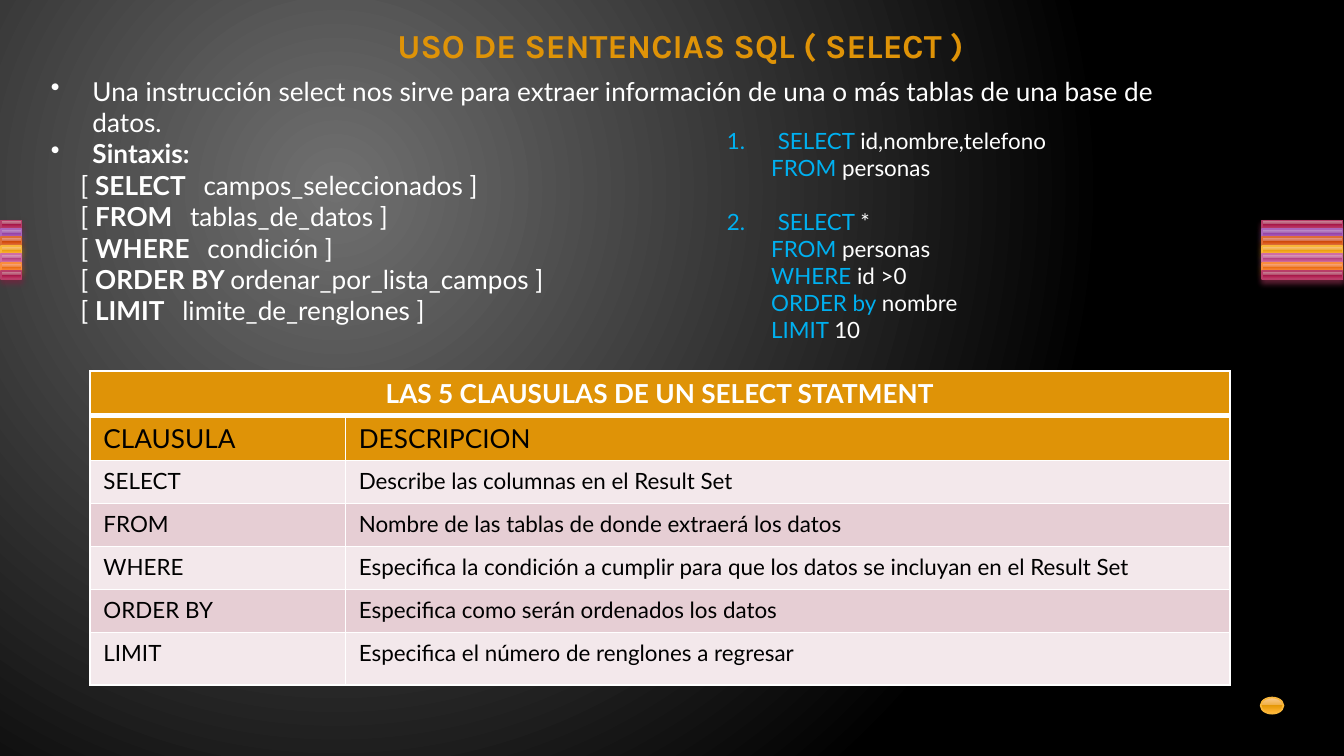
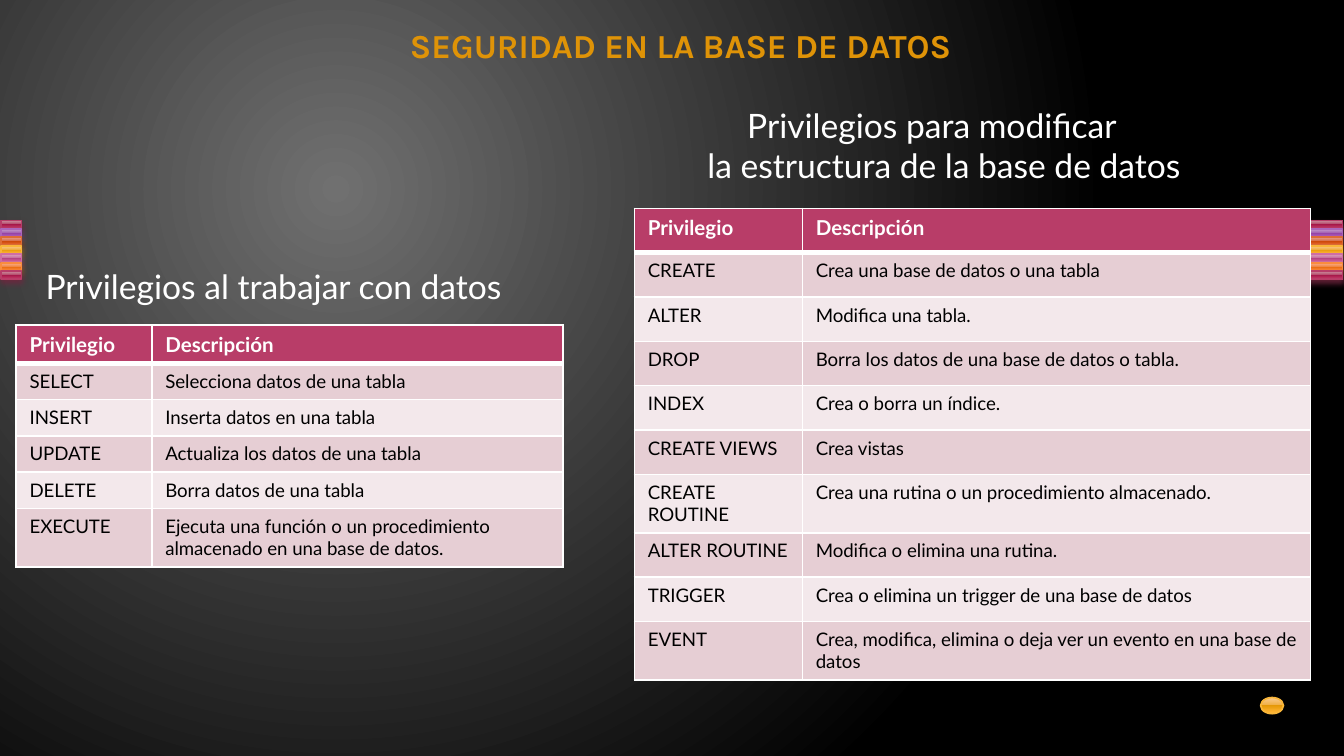
"""Builds two slides on SQL SELECT statements and database privileges."""
import lxml.etree
import pptx
import pptx.dml.color
import pptx.enum.shapes
import pptx.enum.text
import pptx.oxml
import pptx.oxml.ns
import pptx.util

Inches = pptx.util.Inches
Pt = pptx.util.Pt
qn = pptx.oxml.ns.qn
NAMESPACE = 'xmlns:a="http://schemas.openxmlformats.org/drawingml/2006/main"'
COLORS = {
    "gold": "DF9307", "white": "FFFFFF", "black": "000000", "blue": "00B0F0",
    "crimson": "B83D68", "rose": "E6CED4", "pale": "F3E8EB", "gray": "707070",
}
GLOSS = {
    "crimson": ("CE94A2 B34869 A61749 C13764 CA5D7C", "B83D68", "722640"),
    "purple": ("C6A2D0 A666B4 8F3EA1 AD5DBF BA76CA", "AC66BB", "6A3F73"),
    "rust": ("E7A493 D66B42 CC4809 E9642C F07B55", "DE6C36", "894321"),
    "amber": ("FBCC93 EFAE43 E59807 FFB432 FFBE5F", "F9B639", "9A7023"),
    "pink": ("DDA4C1 C66B9D B34181 D361A0 DC79AE", "CF6DA4", "804365"),
    "orange": ("FBB494 F08745 E5670B FF8736 FF9961", "FA8D3D", "9A5726"),
}
STOPS = (0, 49, 49, 92, 100)
STRIPES = ("crimson", "purple", "rust", "amber", "pink", "orange", "crimson")


def add_spans(para, spans, size, font="Lato"):
    for text, color, bold in spans:
        span = para.add_run()
        span.text = text
        span.font.name = font
        span.font.size = Pt(size)
        span.font.bold = bold
        span.font.color.rgb = pptx.dml.color.RGBColor.from_string(COLORS[color])


def add_text(page, place, lines, size):
    box = page.shapes.add_textbox(*map(Inches, place))
    frame = box.text_frame
    frame.word_wrap = True
    for index, (indent, bullet, spans) in enumerate(lines):
        para = frame.paragraphs[0] if index == 0 else frame.add_paragraph()
        add_spans(para, spans, size)
        props = para._p.get_or_add_pPr()
        props.set("marL", str(Inches(indent)))
        if bullet:
            props.set("indent", str(-Inches(indent)))
            props.append(pptx.oxml.parse_xml(bullet))
    return frame


deck = pptx.Presentation()
deck.slide_width = Inches(10)
deck.slide_height = Inches(5.625)
layout = deck.slide_layouts[5]
for holder in list(layout.placeholders):
    if holder.placeholder_format.type != pptx.enum.shapes.PP_PLACEHOLDER.TITLE:
        layout.shapes.element.remove(holder.element)

backdrop = layout.background.fill
backdrop.gradient()
for stop, color in zip(backdrop.gradient_stops, ("gray", "black")):
    stop.color.rgb = pptx.dml.color.RGBColor.from_string(COLORS[color])
gradient = layout.element.find(".//" + qn("a:gradFill"))
gradient.remove(gradient.find(qn("a:lin")))
gradient.append(pptx.oxml.parse_xml(
    f'<a:path {NAMESPACE} path="circle">'
    '<a:fillToRect l="50000" t="50000" r="100000" b="100000"/></a:path>'))

pages = []
for heading in ("USO DE SENTENCIAS SQL ( SELECT )", "SEGURIDAD EN LA BASE DE DATOS"):
    page = deck.slides.add_slide(layout)
    title = page.shapes.title
    title.left, title.top, title.width, title.height = map(Inches, (0.98, 0.14, 8.17, 0.39))
    title.text_frame.auto_size = pptx.enum.text.MSO_AUTO_SIZE.NONE
    title.text_frame.vertical_anchor = pptx.enum.text.MSO_ANCHOR.MIDDLE
    para = title.text_frame.paragraphs[0]
    para.alignment = pptx.enum.text.PP_ALIGN.CENTER
    add_spans(para, [(heading, "gold", True)], 18, "Karla")
    pages.append(page)
select_page, security_page = pages

RECTANGLE = pptx.enum.shapes.MSO_SHAPE.RECTANGLE
ornaments = [
    (RECTANGLE, gloss, left, 1.64 + 0.063 * row, width, 0.06)
    for left, width in ((0.01, 0.15), (9.39, 0.6))
    for row, gloss in enumerate(STRIPES)
]
ornaments.append((pptx.enum.shapes.MSO_SHAPE.OVAL, "amber", 9.38, 5.19, 0.17, 0.12))
for kind, gloss, *place in ornaments:
    shades, edge, shade = GLOSS[gloss]
    box = select_page.shapes.add_shape(kind, *map(Inches, place))
    box.shadow.inherit = False
    box.fill.gradient()
    box.fill.gradient_angle = 270
    box.line.color.rgb = pptx.dml.color.RGBColor.from_string(edge)
    box.line.width = Pt(0.9)
    stops = box.element.find(".//" + qn("a:gsLst"))
    for stop in list(stops):
        stops.remove(stop)
    for position, color in zip(STOPS, shades.split()):
        stop = lxml.etree.SubElement(stops, qn("a:gs"), pos=str(position * 1000))
        lxml.etree.SubElement(stop, qn("a:srgbClr"), val=color)
    if kind == RECTANGLE:
        box.element.spPr.find(qn("a:effectLst")).append(pptx.oxml.parse_xml(
            f'<a:outerShdw {NAMESPACE} blurRad="{Pt(3.1)}" dist="{Pt(2)}" dir="5400000" '
            f'rotWithShape="0"><a:srgbClr val="{shade}"><a:alpha val="83000"/>'
            '</a:srgbClr></a:outerShdw>'))
    layout.shapes.element.append(box.element)

DOT = f'<a:buChar {NAMESPACE} char="•"/>'
syntax = [
    (0.31, DOT, [("Una instrucción select nos sirve para extraer información de una o más "
                  "tablas de una base de datos.", "white", False)]),
    (0.31, DOT, [("Sintaxis:", "white", True)]),
]
for clause, argument in (
    ("SELECT", "campos_seleccionados"), ("FROM", "tablas_de_datos"), ("WHERE", "condición"),
    ("ORDER BY", "ordenar_por_lista_campos"), ("LIMIT", "limite_de_renglones"),
):
    syntax.append((0.22, None, [
        ("[ ", "white", False), (clause, "white", True), (" ", "white", True),
        (argument + " ]", "white", False)]))
frame = add_text(select_page, (0.28, 0.51, 8.88, 2.26), syntax, 14)
for para in frame.paragraphs[2:]:
    if para.runs[1].text != "ORDER BY":
        para.runs[2].font._element.set("spc", "600")

examples = []
for number, query in enumerate((
    (("SELECT", "id,nombre,telefono"), ("FROM", "personas")),
    (("SELECT", "*"), ("FROM", "personas"), ("WHERE", "id >0"),
     ("ORDER by", "nombre"), ("LIMIT", "10")),
), 1):
    numeral = f'<a:buAutoNum {NAMESPACE} type="arabicPeriod" startAt="{number}"/>'
    for clause, argument in query:
        first = clause == "SELECT"
        examples.append((0.38 if first else 0.33, numeral if first else None, [
            (clause + " ", "blue", False), (argument, "white", False)]))
frame = add_text(select_page, (5.31, 0.9, 3.54, 1.72), examples, 12)
frame.paragraphs[2].space_before = Pt(14.4)

add_text(security_page, (0, 1.93, 4.41, 0.71),
         [(0.24, None, [("Privilegios al trabajar con datos", "white", False)])], 18)
frame = add_text(security_page, (4.72, 0.73, 4.43, 1.01), [
    (0, None, [("Privilegios para modificar", "white", False)]),
    (0.18, None, [("la estructura de la base de datos", "white", False)])], 18)
for para in frame.paragraphs:
    para.alignment = pptx.enum.text.PP_ALIGN.CENTER

clauses = [
    ("LAS 5 CLAUSULAS DE UN SELECT STATMENT", ""),
    ("CLAUSULA", "DESCRIPCION"),
    ("SELECT", "Describe las columnas en el Result Set"),
    ("FROM", "Nombre de las tablas de donde extraerá los datos"),
    ("WHERE", "Especifica la condición a cumplir para que los datos se incluyan en el Result Set"),
    ("ORDER BY", "Especifica como serán ordenados los datos"),
    ("LIMIT", "Especifica el número de renglones a regresar"),
]
data_privileges = [
    ("Privilegio", "Descripción"),
    ("SELECT", "Selecciona datos de una tabla"),
    ("INSERT", "Inserta datos en una tabla"),
    ("UPDATE", "Actualiza los datos de una tabla"),
    ("DELETE", "Borra datos de una tabla"),
    ("EXECUTE", "Ejecuta una función o un procedimiento almacenado en una base de datos."),
]
structure_privileges = [
    ("Privilegio", "Descripción"),
    ("CREATE", "Crea una base de datos o una tabla"),
    ("ALTER", "Modifica una tabla."),
    ("DROP", "Borra los datos de una base de datos o tabla."),
    ("INDEX", "Crea o borra un índice."),
    ("CREATE VIEWS", "Crea vistas"),
    ("CREATE ROUTINE", "Crea una rutina o un procedimiento almacenado."),
    ("ALTER ROUTINE", "Modifica o elimina una rutina."),
    ("TRIGGER", "Crea o elimina un trigger de una base de datos"),
    ("EVENT", "Crea, modifica, elimina o deja ver un evento en una base de datos"),
]
tables = [
    (select_page, 0.67, 2.76, (1.9, 6.58), [0.33] * 2 + [0.32] * 4 + [0.39],
     clauses, "gold", 2, 14, 12),
    (security_page, 0.12, 2.42, (1.01, 3.06), [0.28] + [0.27] * 4 + [0.43],
     data_privileges, "crimson", 1, 11, 10),
    (security_page, 4.72, 1.55, (1.25, 3.78), [0.33] * 6 + [0.43] + [0.33] * 2 + [0.43],
     structure_privileges, "crimson", 1, 11, 10),
]
for page, left, top, widths, heights, rows, accent, heads, head_size, body_size in tables:
    table = page.shapes.add_table(
        len(rows), 2, Inches(left), Inches(top),
        Inches(sum(widths)), Inches(sum(heights))).table
    table.horz_banding = False
    for column, width in zip(table.columns, widths):
        column.width = Inches(width)
    for number, (height, texts) in enumerate(zip(heights, rows)):
        table.rows[number].height = Inches(height)
        fill = accent if number < heads else ("pale", "rose")[number % 2]
        size = head_size if number < heads else body_size
        ink = "black" if number else "white"
        for cell, text in zip(table.rows[number].cells, texts):
            cell.fill.solid()
            cell.fill.fore_color.rgb = pptx.dml.color.RGBColor.from_string(COLORS[fill])
            if text:
                add_spans(cell.text_frame.paragraphs[0], [(text, ink, number == 0)], size)
            for order, side in enumerate("LRTB"):
                weight = 3 if (side, number) in (("B", 0), ("T", 1)) else 1
                cell._tc.tcPr.insert(order, pptx.oxml.parse_xml(
                    f'<a:ln{side} {NAMESPACE} w="{Pt(weight)}"><a:solidFill>'
                    f'<a:srgbClr val="{COLORS["white"]}"/></a:solidFill></a:ln{side}>'))
    if rows is clauses:
        table.cell(0, 0).merge(table.cell(0, 1))
        table.cell(0, 0).text_frame.paragraphs[0].alignment = pptx.enum.text.PP_ALIGN.CENTER

deck.save("out.pptx")
